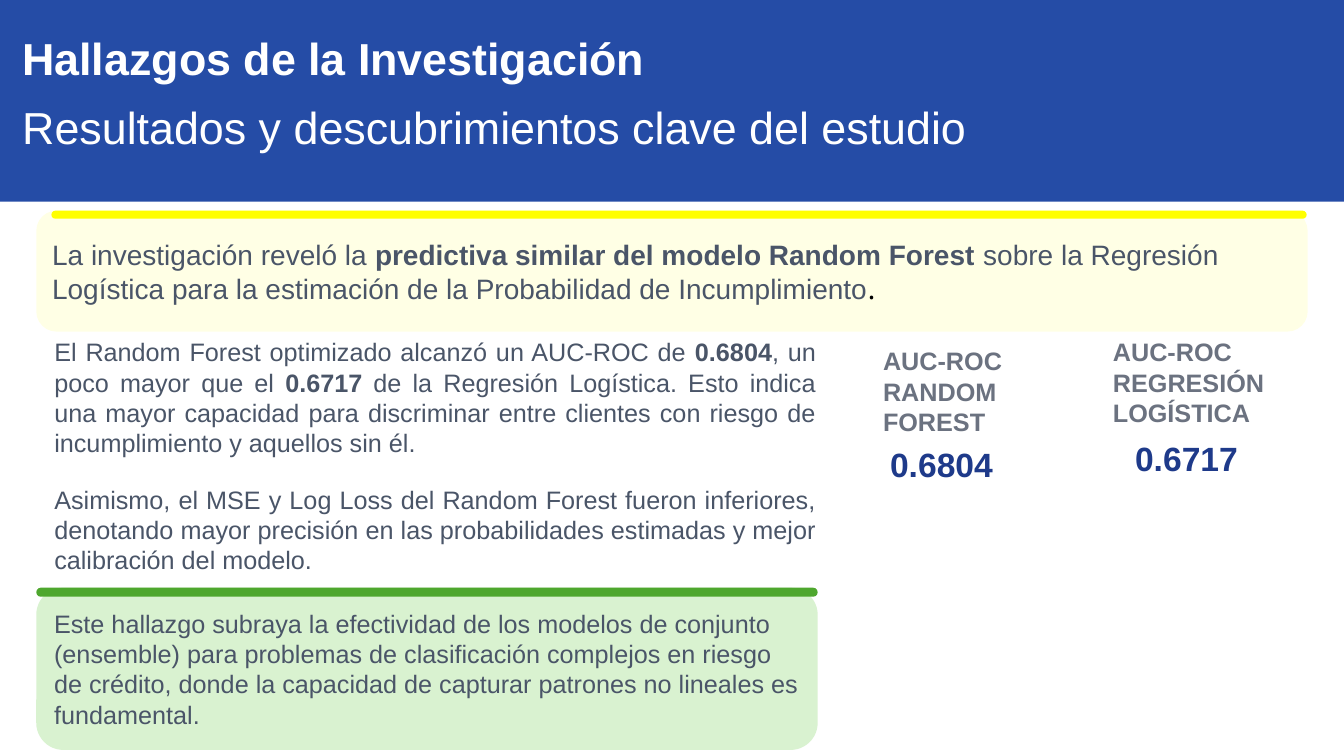
"""Build the slide on the research findings about credit default models."""
from lxml import etree
from pptx import Presentation
from pptx.dml.color import RGBColor
from pptx.enum import shapes, text
from pptx.oxml import ns
from pptx.util import Inches, Pt

SLATE, NAVY, GRAY = "4A5568", "1E3A8A", "6B7280"

TITLE = ["Hallazgos de la Investigación", "Resultados y descubrimientos clave del estudio"]

SUMMARY = [[
    ("La investigación reveló la ", False),
    ("predictiva similar del modelo Random Forest", True),
    (" sobre la Regresión Logística para la estimación de la Probabilidad de Incumplimiento", False),
    (".", False),
]]

DETAILS = [
    [("El Random Forest optimizado alcanzó un AUC-ROC de ", False),
     ("0.6804", True),
     (", un poco mayor que el ", False),
     ("0.6717", True),
     (" de la Regresión Logística. Esto indica una mayor capacidad para discriminar entre "
      "clientes con riesgo de incumplimiento y aquellos sin él.", False)],
    [("Asimismo, el MSE y Log Loss del Random Forest fueron inferiores, denotando mayor precisión "
      "en las probabilidades estimadas y mejor calibración del modelo.", False)],
]

CONCLUSION = [[
    ("Este hallazgo subraya la efectividad de los modelos de conjunto (ensemble) para problemas de "
     "clasificación complejos en riesgo de crédito, donde la capacidad de capturar patrones no "
     "lineales es fundamental.", False),
]]

METRICS = [
    ("AUC-ROC RANDOM FOREST", (8.66, 3.38, 2.05, 1.01), "0.6804", (8.73, 4.35, 1.44, 0.5)),
    ("AUC-ROC REGRESIÓN LOGÍSTICA", (10.94, 3.29, 2.1, 1.01), "0.6717", (11.16, 4.3, 1.44, 0.5)),
]


def color(value):
    return RGBColor.from_string(value)


def style(p, size, value, bold=None):
    p.font.name, p.font.size, p.font.bold = "Arial", Pt(size), bold
    p.font.color.rgb = color(value)


def write(sp, paragraphs, size, value, align=text.PP_ALIGN.LEFT, before=0, after=0):
    """Fill a shape with paragraphs made of (text, bold) runs."""
    tf = sp.text_frame
    tf.word_wrap = True
    for i, runs in enumerate(paragraphs):
        p = tf.add_paragraph() if i else tf.paragraphs[0]
        style(p, size, value)
        p.alignment, p.space_before, p.space_after = align, Pt(before), Pt(after)
        for words, bold in runs:
            r = p.add_run()
            r.text, r.font.bold = words, bold
    return tf


def add_box(s, box):
    return s.shapes.add_textbox(*map(Inches, box))


def add_panel(s, box, fill, radius=None, alpha=None):
    sp = s.shapes.add_shape(shapes.MSO_SHAPE.ROUNDED_RECTANGLE, *map(Inches, box))
    sp.shadow.inherit = False
    sp.line.fill.background()
    sp.fill.solid()
    sp.fill.fore_color.rgb = color(fill)
    if radius is not None:
        sp.adjustments[0] = radius
    if alpha is not None:
        rgb = sp.fill._xPr.find(".//" + ns.qn("a:srgbClr"))
        etree.SubElement(rgb, ns.qn("a:alpha")).set("val", str(alpha * 1000))
    return sp


def add_title(s):
    sp = s.shapes.title
    sp.left, sp.top, sp.width, sp.height = map(Inches, (0, 0, 13.33, 2))
    sp.fill.solid()
    sp.fill.fore_color.rgb = color("254CA6")
    tf = sp.text_frame
    tf.word_wrap, tf.auto_size = True, text.MSO_AUTO_SIZE.NONE
    tf.vertical_anchor = text.MSO_ANCHOR.TOP
    tf.margin_left, tf.margin_top = Inches(0.22), Inches(0.3)
    for i, words in enumerate(TITLE):
        p = tf.add_paragraph() if i else tf.paragraphs[0]
        p.text, p.alignment, p.line_spacing = words, text.PP_ALIGN.LEFT, 1.0
        p.space_before, p.space_after = Pt(0), Pt(0 if i else 11.2)
        style(p, 32, "FFFFFF", bold=i == 0)


def main():
    prs = Presentation()
    prs.slide_width, prs.slide_height = Inches(13.33), Inches(7.5)
    s = prs.slides.add_slide(prs.slide_layouts[5])
    add_title(s)

    write(add_panel(s, (0.36, 5.83, 7.75, 1.61), "D9F2D0"), CONCLUSION, 18, SLATE, before=6, after=6)
    add_panel(s, (0.36, 5.83, 7.75, 0.09), "4EA72E", radius=0.5)

    tf = write(add_panel(s, (0.36, 2.09, 12.61, 1.2), "FFFF00", alpha=10), SUMMARY, 20, SLATE)
    stop = tf.paragraphs[0].runs[-1].font
    stop.name, stop.color.rgb = "Noto Sans", color("000000")
    add_panel(s, (0.51, 2.09, 12.45, 0.08), "FFFF00", radius=0.5)

    write(add_box(s, (0.44, 3.29, 7.75, 2.49)), DETAILS, 18, SLATE, text.PP_ALIGN.JUSTIFY, after=18.8)
    for label, label_box, value, value_box in METRICS:
        write(add_box(s, label_box), [[(label, True)]], 18, GRAY)
        write(add_box(s, value_box), [[(value, True)]], 24, NAVY)

    prs.save("out.pptx")


if __name__ == "__main__":
    main()
